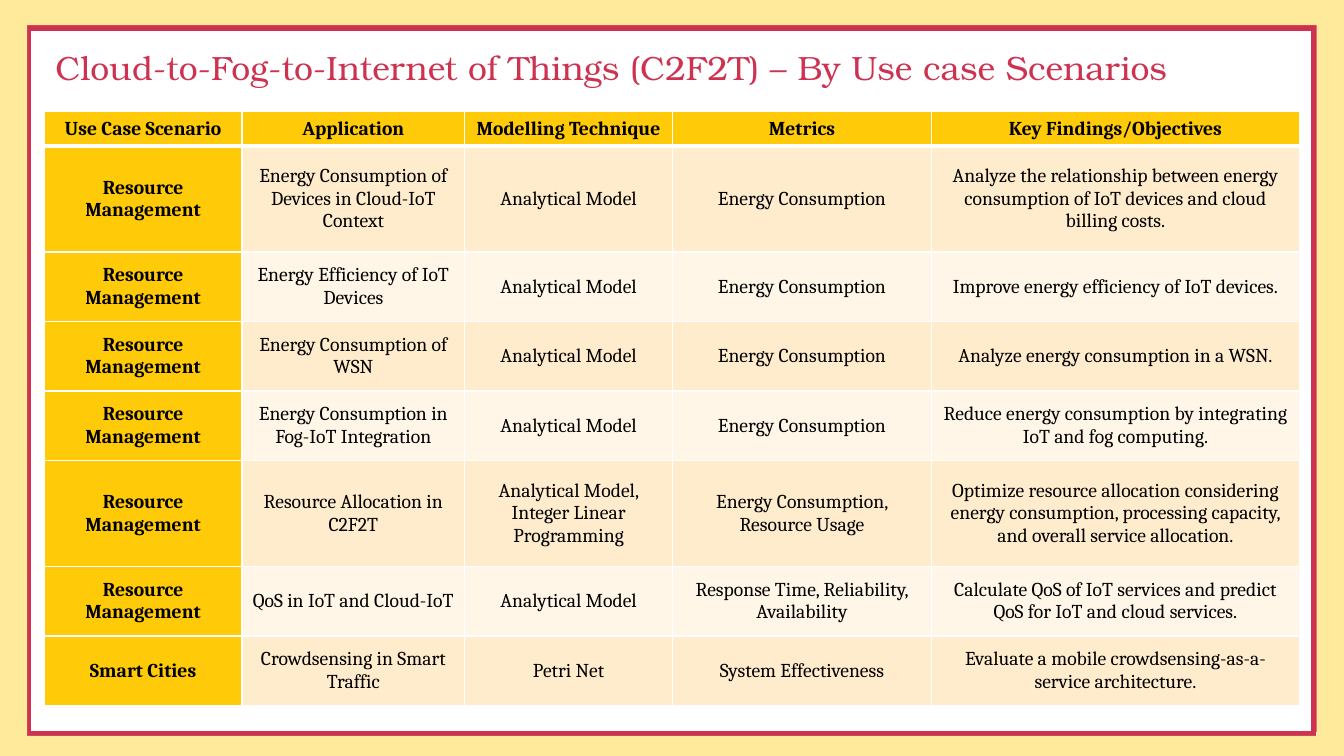
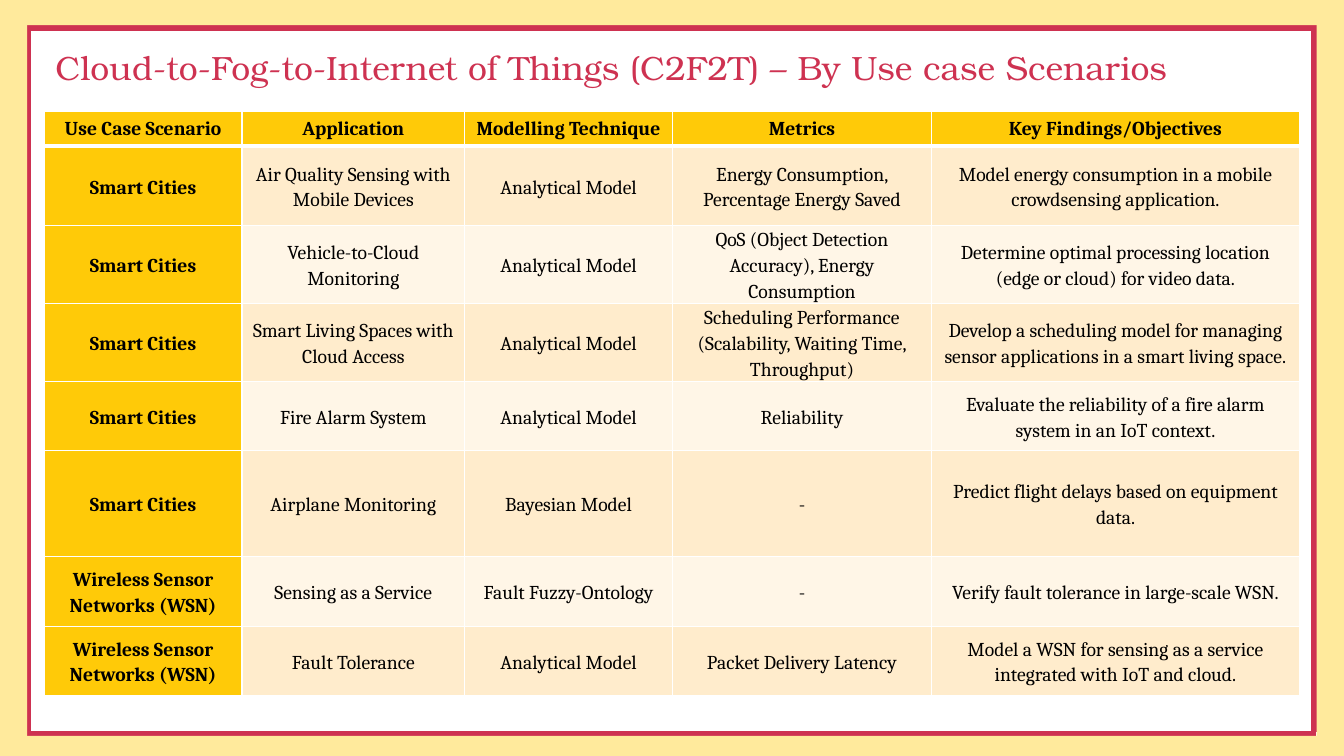
from dataclasses import dataclass

from pptx import Presentation
from pptx.dml.color import RGBColor
from pptx.enum.shapes import MSO_CONNECTOR, MSO_SHAPE
from pptx.enum.text import MSO_ANCHOR, MSO_AUTO_SIZE, PP_ALIGN
from pptx.oxml.ns import qn
from pptx.util import Inches, Pt
from lxml import etree

MIDDLE = MSO_ANCHOR.MIDDLE
CENTER, LEFT = PP_ALIGN.CENTER, PP_ALIGN.LEFT
NO_FIT = MSO_AUTO_SIZE.NONE
STRAIGHT = MSO_CONNECTOR.STRAIGHT
RECTANGLE = MSO_SHAPE.RECTANGLE
TITLE_ONLY = 5


@dataclass(frozen=True)
class Theme:
    crimson: str = "CE3251"
    cream: str = "FFEA9C"
    gold: str = "FFCA08"
    band_dark: str = "FFECCC"
    band_light: str = "FFF6E7"
    black: str = "000000"
    white: str = "FFFFFF"
    title_font: str = "TeX Gyre Bonum"
    body_font: str = "Cambria"
    title_size: float = 24
    body_size: float = 14
    frame_width: float = 4.5
    grid_width: float = 1
    header_rule: float = 3


THEME = Theme()
SLIDE_WIDTH, SLIDE_HEIGHT = 13.33, 7.5
TITLE_BOX = (0.45, 0.35, 12.45, 0.69)
TABLE_BOX = (0.44, 1.11, 12.45)
COLUMN_WIDTHS = (1.96, 2.21, 2.06, 2.57, 3.65)
TITLE = "Cloud-to-Fog-to-Internet of Things (C2F2T) – By Use case Scenarios"
HEADERS = ("Use Case Scenario", "Application", "Modelling Technique",
           "Metrics", "Key Findings/Objectives")

RESOURCE, CITIES = "Resource Management", "Smart Cities"
SENSORS = "Wireless Sensor Networks (WSN)"
ANALYTICAL, ENERGY = "Analytical Model", "Energy Consumption"

TABLES = [
    {
        "heights": (0.34, 1.05, 0.69, 0.69, 0.69, 1.05, 0.69, 0.69),
        "spacing": {},
        "rows": [
            (RESOURCE, "Energy Consumption of Devices in Cloud-IoT Context",
             ANALYTICAL, ENERGY,
             "Analyze the relationship between energy consumption of IoT "
             "devices and cloud billing costs."),
            (RESOURCE, "Energy Efficiency of IoT Devices", ANALYTICAL, ENERGY,
             "Improve energy efficiency of IoT devices."),
            (RESOURCE, "Energy Consumption of WSN", ANALYTICAL, ENERGY,
             "Analyze energy consumption in a WSN."),
            (RESOURCE, "Energy Consumption in Fog-IoT Integration",
             ANALYTICAL, ENERGY,
             "Reduce energy consumption by integrating IoT and fog computing."),
            (RESOURCE, "Resource Allocation in C2F2T",
             "Analytical Model, Integer Linear Programming",
             "Energy Consumption, Resource Usage",
             "Optimize resource allocation considering energy consumption, "
             "processing capacity, and overall service allocation."),
            (RESOURCE, "QoS in IoT and Cloud-IoT", ANALYTICAL,
             "Response Time, Reliability, Availability",
             "Calculate QoS of IoT services and predict QoS for IoT and "
             "cloud services."),
            (CITIES, "Crowdsensing in Smart Traffic", "Petri Net",
             "System Effectiveness",
             "Evaluate a mobile crowdsensing-as-a-service architecture."),
        ],
    },
    {
        "heights": (0.34, 0.79, 0.69, 0.69, 0.69, 1.05, 0.69, 0.69),
        "spacing": {"line_spacing": 1.15, "space_after": Pt(8)},
        "rows": [
            (CITIES, "Air Quality Sensing with Mobile Devices", ANALYTICAL,
             "Energy Consumption, Percentage Energy Saved",
             "Model energy consumption in a mobile crowdsensing application."),
            (CITIES, "Vehicle-to-Cloud Monitoring", ANALYTICAL,
             "QoS (Object Detection Accuracy), Energy Consumption",
             "Determine optimal processing location (edge or cloud) for "
             "video data."),
            (CITIES, "Smart Living Spaces with Cloud Access", ANALYTICAL,
             "Scheduling Performance (Scalability, Waiting Time, Throughput)",
             "Develop a scheduling model for managing sensor applications "
             "in a smart living space."),
            (CITIES, "Fire Alarm System", ANALYTICAL, "Reliability",
             "Evaluate the reliability of a fire alarm system in an IoT "
             "context."),
            (CITIES, "Airplane Monitoring", "Bayesian Model", "-",
             "Predict flight delays based on equipment data."),
            (SENSORS, "Sensing as a Service", "Fault Fuzzy-Ontology", "-",
             "Verify fault tolerance in large-scale WSN."),
            (SENSORS, "Fault Tolerance", ANALYTICAL, "Packet Delivery Latency",
             "Model a WSN for sensing as a service integrated with IoT "
             "and cloud."),
        ],
    },
]


def inches(values):
    return [Inches(value) for value in values]


def apply(target, formats):
    for name, value in formats.items():
        setattr(target, name, value)


def style_font(font, face, size, color, bold=False):
    apply(font, {"name": face, "size": Pt(size), "bold": bold})
    font.color.rgb = RGBColor.from_string(color)


def paint(shape, color):
    shape.fill.solid()
    shape.fill.fore_color.rgb = RGBColor.from_string(color)


def add_frame_line(page, start, end):
    line = page.shapes.add_connector(STRAIGHT, *inches(start + end))
    line.line.color.rgb = RGBColor.from_string(THEME.crimson)
    line.line.width = Pt(THEME.frame_width)
    etree.SubElement(line.element.spPr, qn("a:effectLst"))
    return line


def add_edge_band(page, box):
    band = page.shapes.add_shape(RECTANGLE, *inches(box))
    band.shadow.inherit = False
    paint(band, THEME.cream)
    band.line.fill.background()
    return band


def build_master_frame(deck, page):
    """Draw the border on a page, then hand its parts to the slide master."""
    left, top, right, bottom = 0.28, 0.28, 13.03, 7.28
    edge, side = 0.25, 0.27
    low = SLIDE_HEIGHT - 0.2
    parts = [add_frame_line(page, *ends) for ends in (
        ((0.26, bottom), (13.05, bottom)),
        ((left, top), (left, 7.3)),
        ((0.27, top), (13.06, top)),
        ((right, 0.24), (right, 7.26)),
    )]
    parts += [add_edge_band(page, box) for box in (
        (0, 0, SLIDE_WIDTH, edge),
        (0, low, SLIDE_WIDTH, SLIDE_HEIGHT - low),
        (SLIDE_WIDTH - side, edge, side, low - edge),
        (0, edge, side, low - edge),
    )]
    tree = deck.slide_master.shapes.element
    for index, part in enumerate(parts):
        part.element.xpath(".//p:cNvPr")[0].set("id", str(100 + index))
        tree.insert(2 + index, part.element)


def add_title(page, box, text):
    title = page.shapes.title
    apply(title, dict(zip(("left", "top", "width", "height"), inches(box))))
    frame = title.text_frame
    apply(frame, {"word_wrap": True, "auto_size": NO_FIT,
                  "vertical_anchor": MIDDLE})
    para = frame.paragraphs[0]
    apply(para, {"alignment": LEFT, "line_spacing": 0.9})
    span = para.add_run()
    span.text = text
    style_font(span.font, THEME.title_font, THEME.title_size, THEME.crimson)


def add_borders(cell, widths):
    properties = cell._tc.get_or_add_tcPr()
    for side, width in widths.items():
        border = etree.SubElement(properties, qn(f"a:ln{side}"),
                                  w=str(Pt(width)))
        fill = etree.SubElement(border, qn("a:solidFill"))
        etree.SubElement(fill, qn("a:srgbClr"), val=THEME.white)


def fill_cell(cell, text, color, bold, spacing, widths):
    add_borders(cell, widths)
    paint(cell, color)
    apply(cell, {"vertical_anchor": MIDDLE,
                 "margin_left": Inches(0.07), "margin_right": Inches(0.07),
                 "margin_top": 0, "margin_bottom": 0})
    para = cell.text_frame.paragraphs[0]
    apply(para, {"alignment": CENTER, **spacing})
    span = para.add_run()
    span.text = text
    style_font(span.font, THEME.body_font, THEME.body_size, THEME.black, bold)


def add_scenario_table(page, box, content):
    rows = [HEADERS] + content["rows"]
    heights = content["heights"]
    table = page.shapes.add_table(len(rows), len(HEADERS),
                                  *inches(box + (sum(heights),))).table
    apply(table, {"first_row": False, "horz_banding": False})
    for column, width in zip(table.columns, COLUMN_WIDTHS):
        column.width = Inches(width)
    for row_index, texts in enumerate(rows):
        table.rows[row_index].height = Inches(heights[row_index])
        header = row_index == 0
        band = THEME.band_dark if row_index % 2 else THEME.band_light
        # The thick rule is shared by the header and the first body row
        widths = dict.fromkeys("LRTB", THEME.grid_width)
        if row_index < 2:
            widths["B" if header else "T"] = THEME.header_rule
        for column_index, text in enumerate(texts):
            key = header or column_index == 0
            fill_cell(table.cell(row_index, column_index), text,
                      THEME.gold if key else band, key,
                      {} if header else content["spacing"], widths)


def build_table_slide(deck, content):
    page = deck.slides.add_slide(deck.slide_layouts[TITLE_ONLY])
    add_title(page, TITLE_BOX, TITLE)
    add_scenario_table(page, TABLE_BOX, content)
    return page


def main():
    deck = Presentation()
    deck.slide_width, deck.slide_height = inches((SLIDE_WIDTH, SLIDE_HEIGHT))
    pages = [build_table_slide(deck, content) for content in TABLES]
    build_master_frame(deck, pages[0])
    deck.save("out.pptx")


if __name__ == "__main__":
    main()
